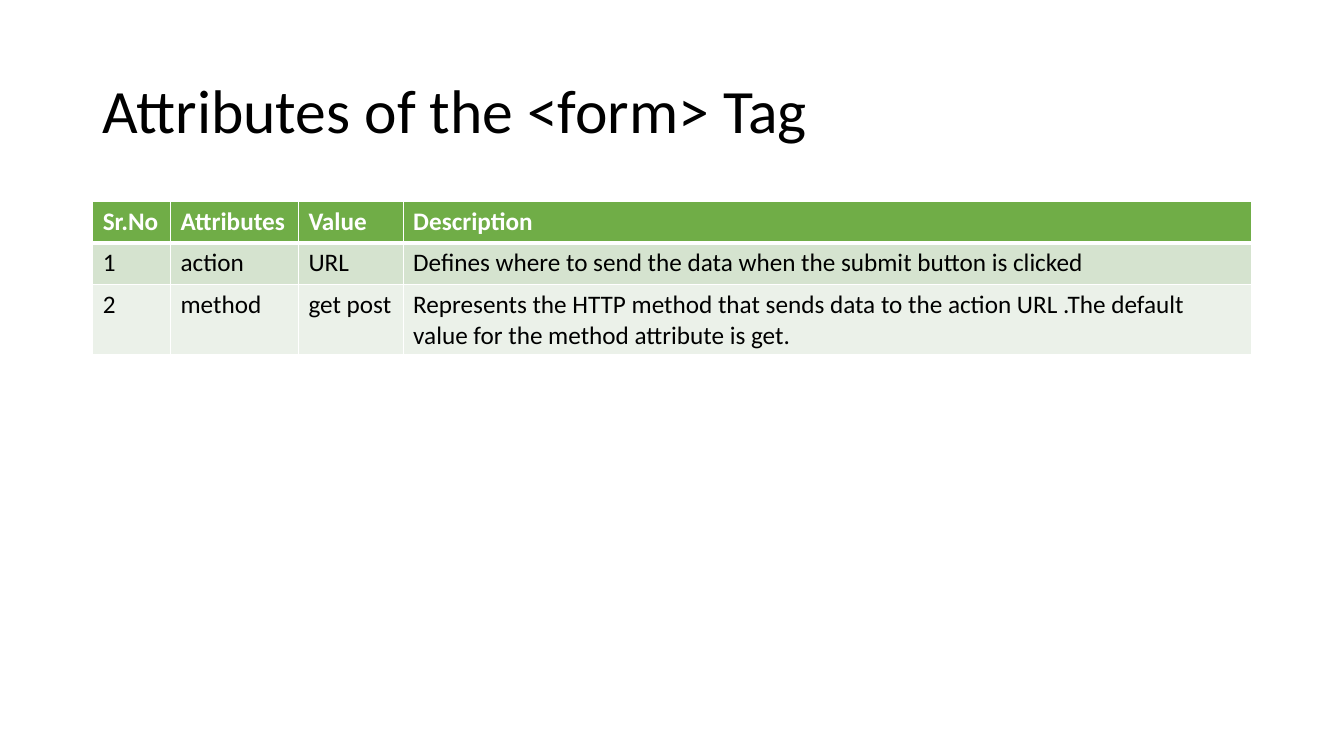
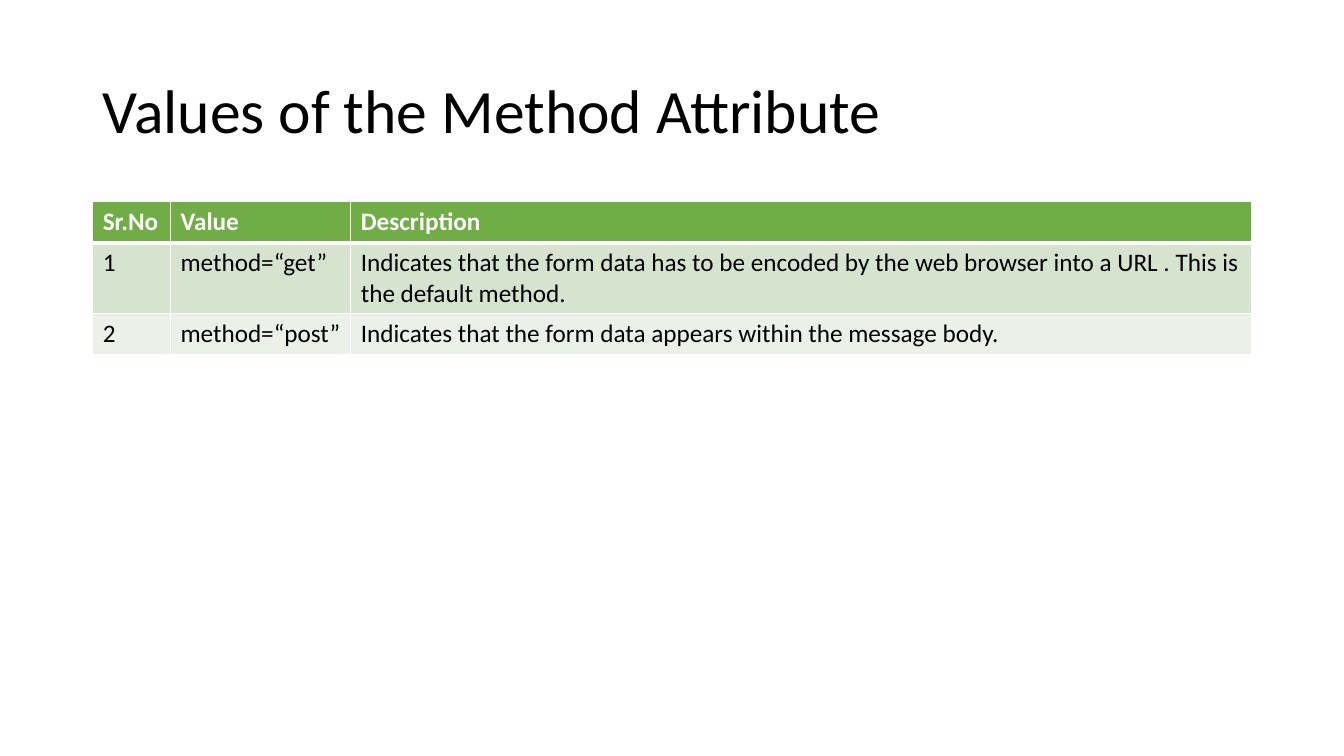
from lxml.etree import SubElement as Sub
from pptx import Presentation
from pptx.dml.color import RGBColor
from pptx.enum.text import MSO_ANCHOR as Anchor
from pptx.oxml.ns import qn
from pptx.util import Inches, Pt


def paint(fill, tone):
    fill.solid()
    fill.fore_color.rgb = RGBColor.from_string(tone)


class Deck:
    font = "Calibri"
    ink, paper = "000000", "FFFFFF"
    head, bands = "70AD47", ("D5E3CF", "EBF1E9")
    cols, rows = 29, 75
    left, span = 2, 25

    def __init__(self):
        self.prs = Presentation()
        self.prs.slide_width = Inches(13.33)
        self.prs.slide_height = Inches(7.5)
        self.slide = None

    def x(self, n):
        return round(self.prs.slide_width * n / self.cols)

    def y(self, n):
        return round(self.prs.slide_height * n / self.rows)

    def style(self, para, size, tone, bold=False):
        for run in para.runs:
            run.font.name = self.font
            run.font.size = Pt(size)
            run.font.bold = bold
            run.font.color.rgb = RGBColor.from_string(tone)

    def page(self, title):
        self.slide = self.prs.slides.add_slide(self.prs.slide_layouts[6])
        paint(self.slide.background.fill, self.paper)
        box = self.slide.shapes.add_textbox(
            self.x(self.left), self.y(4), self.x(self.span), self.y(14.5))
        frame = box.text_frame
        frame.word_wrap = True
        frame.vertical_anchor = Anchor.MIDDLE
        frame.text = title
        para = frame.paragraphs[0]
        para.line_spacing = 0.9
        self.style(para, 44, self.ink)

    def edge(self, cell, side, width):
        props = cell._tc.get_or_add_tcPr()
        line = Sub(props, qn(f"a:ln{side}"), w=str(Pt(width)))
        Sub(Sub(line, qn("a:solidFill")), qn("a:srgbClr"), val=self.paper)

    def table(self, widths, data):
        """Draw a banded table; the last column takes the width left over."""
        widths = [*widths, self.span - sum(widths)]
        high = 4.1
        grid = self.slide.shapes.add_table(
            len(data), len(widths), self.x(self.left), self.y(20),
            self.x(self.span), self.y(high * len(data))).table
        for col, width in zip(grid.columns, widths):
            col.width = self.x(width)
        for r, texts in enumerate(data):
            grid.rows[r].height = self.y(high)
            for c, text in enumerate(texts):
                self.cell(grid.cell(r, c), r, text)

    def cell(self, cell, row, text):
        top = row == 0
        cell.text = text
        self.style(cell.text_frame.paragraphs[0], 18,
                   self.paper if top else self.ink, top)
        for side, width in (("L", 1), ("R", 1), ("T", 3 if row == 1 else 1),
                            ("B", 3 if top else 1)):
            self.edge(cell, side, width)
        paint(cell.fill, self.head if top else self.bands[(row - 1) % 2])


def main():
    deck = Deck()
    deck.page("Attributes of the <form> Tag")
    deck.table([1.68, 2.76, 2.26], [
        ("Sr.No", "Attributes", "Value", "Description"),
        ("1", "action", "URL",
         "Defines where to send the data when the submit button is clicked"),
        ("2", "method", "get post",
         "Represents the HTTP method that sends data to the action URL "
         ".The default value for the method attribute is get."),
    ])
    deck.page("Values of the Method Attribute")
    deck.table([1.68, 3.89], [
        ("Sr.No", "Value", "Description"),
        ("1", "method=“get”",
         "Indicates that the form data has to be encoded by the web browser "
         "into a URL . This is the default method."),
        ("2", "method=“post”",
         "Indicates that the form data appears within the message body."),
    ])
    deck.prs.save("out.pptx")


if __name__ == "__main__":
    main()
